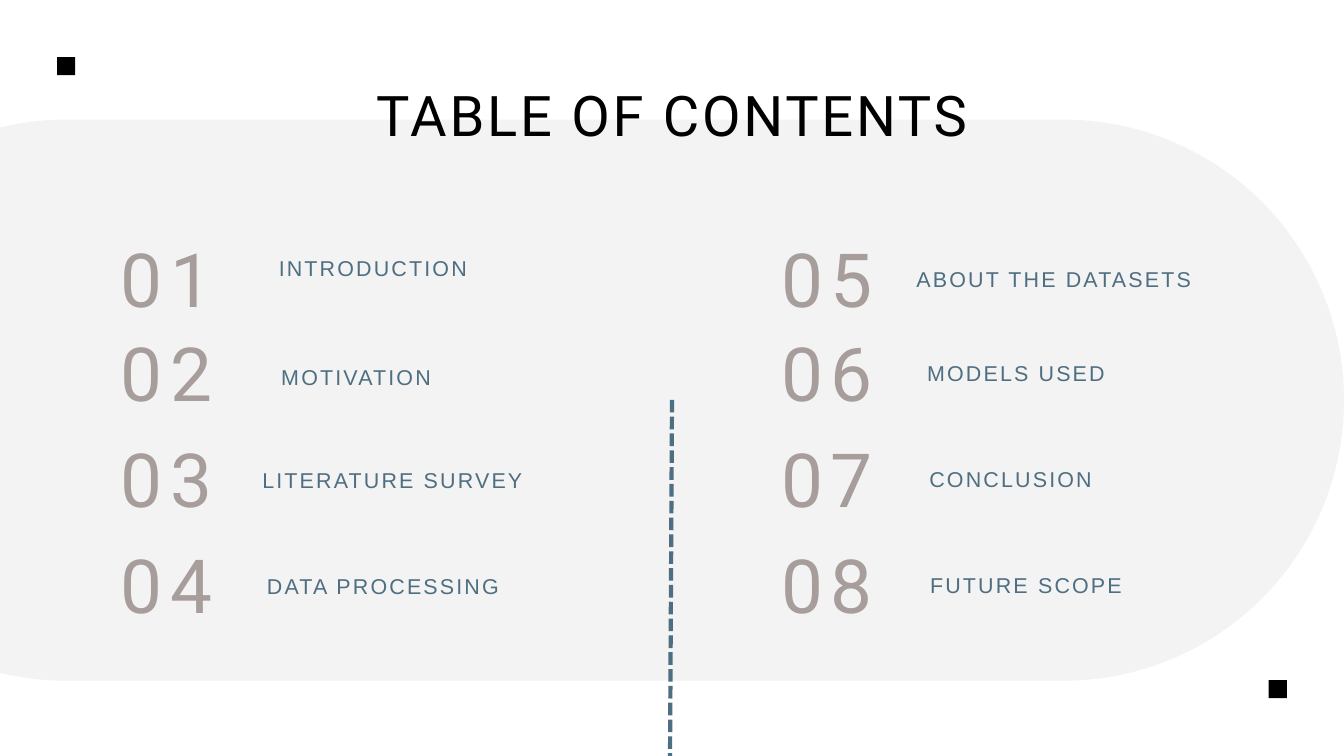
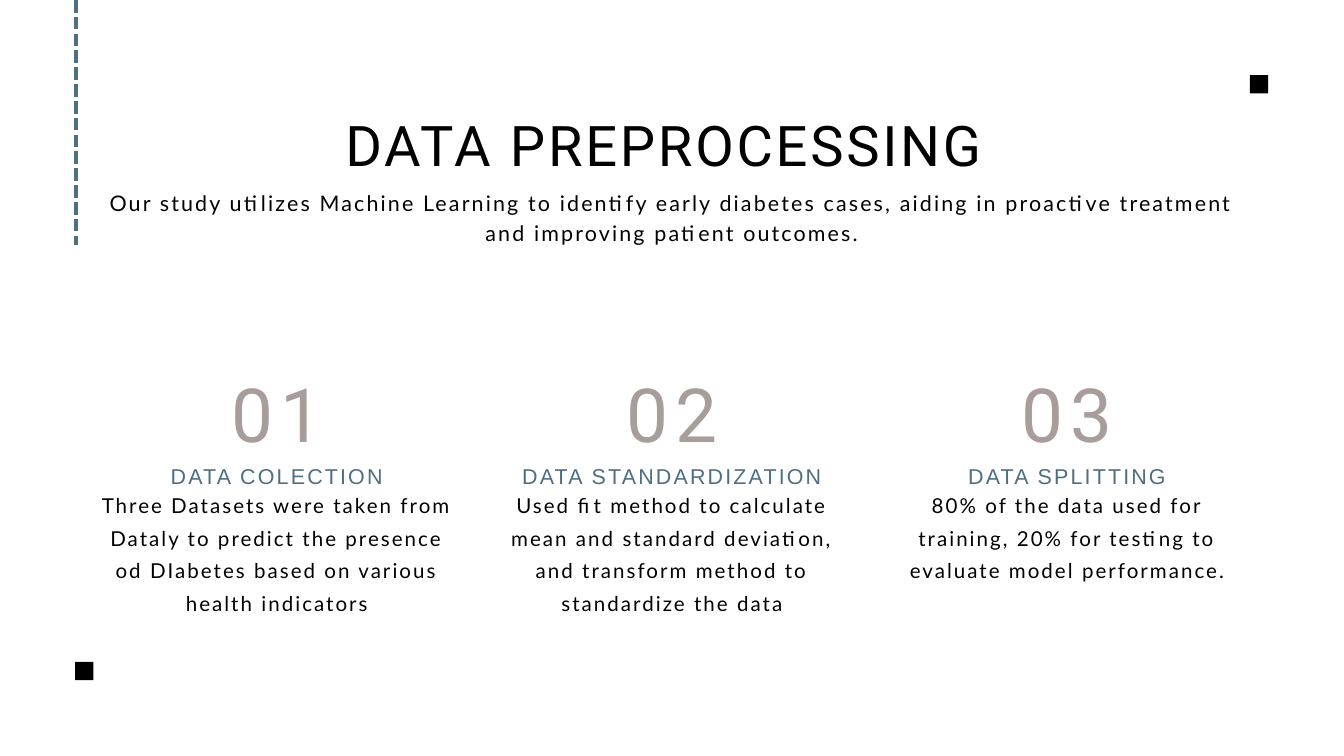
"""Build the contents and data preprocessing slides."""
from dataclasses import dataclass

from lxml import etree
from pptx import Presentation
from pptx import util as u
from pptx.dml.color import RGBColor
from pptx.enum import dml, shapes, text
from pptx.oxml import ns

COLORS = {"ink": "000000", "blue": "4E6E81", "taupe": "A79E9C", "panel": "F2F1F1", "page": "FFFFFF"}
LEFT, CENTER, RIGHT = text.PP_ALIGN.LEFT, text.PP_ALIGN.CENTER, text.PP_ALIGN.RIGHT
COLUMN_WIDTH = 5.22
MARGIN = 1.51
ROW_TOPS = (3.25, 4.64, 6.22, 7.8)
NUMBER_LEFTS = (1.8, 11.63)


@dataclass(frozen=True)
class Style:
    """Font, size, colour and line height shared by one kind of text."""
    font: str
    size: float
    color: str
    leading: float


@dataclass(frozen=True)
class Box:
    """Place of an element in inches."""
    left: float
    top: float
    width: float
    height: float


@dataclass(frozen=True)
class Topic:
    """Entry of the contents with the place of its label."""
    label: str
    left: float
    top: float
    align: text.PP_ALIGN = CENTER


@dataclass(frozen=True)
class Step:
    """Preprocessing step with its explanation."""
    heading: str
    detail: str
    height: float


TITLE = Style("Roboto", 60, "ink", 84)
NUMBER = Style("Roboto", 80, "taupe", 112)
LABEL = Style("Arial", 23, "blue", 32.2)
SUMMARY = Style("Lato", 23, "ink", 32.2)
DETAIL = Style("Lato", 22, "ink", 35.2)

TOPICS = (
    Topic("INTRODUCTION", 2.94, 3.73),
    Topic("MOTIVATION", 2.69, 5.35),
    Topic("LITERATURE SURVEY", 2.56, 6.88, RIGHT),
    Topic("DATA PROCESSING", 2.21, 8.46, RIGHT),
    Topic("ABOUT THE DATASETS", 12.51, 3.9, RIGHT),
    Topic("MODELS USED", 12.51, 5.29),
    Topic("CONCLUSION ", 12.49, 6.87),
    Topic("FUTURE SCOPE ", 12.72, 8.45),
)
STEPS = (
    Step("DATA COLECTION", "Three Datasets were taken from Dataly to predict the presence "
         "od DIabetes based on various health indicators", 1.9),
    Step("DATA STANDARDIZATION", "Used fit method to calculate mean and standard deviation, "
         "and transform method to standardize the data", 1.9),
    Step("DATA SPLITTING", "80% of the data used for training, 20% for testing to evaluate "
         "model performance.", 1.42),
)


def rgb(name: str) -> RGBColor:
    """Look up a theme colour."""
    return RGBColor.from_string(COLORS[name])


def inches(box: Box) -> tuple:
    """Convert a box to lengths."""
    return tuple(u.Inches(side) for side in (box.left, box.top, box.width, box.height))


def write(frame, words: str, *, style: Style, align=CENTER) -> None:
    """Fill a text frame with one formatted paragraph."""
    frame.word_wrap = True
    frame.auto_size = text.MSO_AUTO_SIZE.NONE
    frame.vertical_anchor = text.MSO_ANCHOR.TOP
    frame.margin_left = frame.margin_top = frame.margin_right = frame.margin_bottom = 0
    paragraph = frame.paragraphs[0]
    paragraph.alignment = align
    paragraph.line_spacing = u.Pt(style.leading)
    paragraph.space_before = u.Pt(0)
    run = paragraph.add_run()
    run.text = words
    run.font.name = style.font
    run.font.size = u.Pt(style.size)
    run.font.color.rgb = rgb(style.color)
    run.font._element.set("spc", str(round(style.size * 10 if style is not TITLE else 300)))


def add_text(slide, box: Box, words: str, *, style: Style, align=CENTER) -> None:
    """Add a text box."""
    write(slide.shapes.add_textbox(*inches(box)).text_frame, words, style=style, align=align)


def fill_placeholder(holder, box: Box, words: str, *, style: Style) -> None:
    """Move a placeholder to the front and fill it without bullets."""
    holder.element.getparent().append(holder.element)
    holder.left, holder.top, holder.width, holder.height = inches(box)
    properties = holder.text_frame.paragraphs[0]._p.get_or_add_pPr()
    properties.set("marL", "0")
    properties.set("indent", "0")
    etree.SubElement(properties, ns.qn("a:buNone"))
    write(holder.text_frame, words, style=style)


def add_plain(slide, kind, box: Box, color: str):
    """Add a filled shape without outline or shadow."""
    shape = slide.shapes.add_shape(kind, *inches(box))
    shape.shadow.inherit = False
    shape.fill.solid()
    shape.fill.fore_color.rgb = rgb(color)
    shape.line.fill.background()
    return shape


def add_corner_squares(slide, *corners: tuple) -> None:
    """Add the small black squares."""
    for left, top in corners:
        add_plain(slide, shapes.MSO_SHAPE.RECTANGLE, Box(left, top, 0.27, 0.27), "ink")


def add_dashed_line(slide, start: tuple, end: tuple) -> None:
    """Add a dashed blue accent line."""
    points = [u.Inches(value) for value in (*start, *end)]
    line = slide.shapes.add_connector(shapes.MSO_CONNECTOR.STRAIGHT, *points)
    line.line.color.rgb = rgb("blue")
    line.line.width = u.Pt(4.5)
    line.line.dash_style = dml.MSO_LINE.SQUARE_DOT
    etree.SubElement(line._element.spPr, ns.qn("a:effectLst"))


def new_slide(deck, layout: int):
    """Add a slide on the white page."""
    slide = deck.slides.add_slide(deck.slide_layouts[layout])
    slide.background.fill.solid()
    slide.background.fill.fore_color.rgb = rgb("page")
    return slide


def build_contents(deck) -> None:
    """Build the table of contents."""
    slide = new_slide(deck, 5)
    panel = add_plain(slide, shapes.MSO_SHAPE.ROUNDED_RECTANGLE, Box(-3.19, 1.78, 23.19, 8.35), "panel")
    panel.adjustments[0] = 0.5
    tint = panel._element.spPr.find(".//" + ns.qn("a:srgbClr"))
    etree.SubElement(tint, ns.qn("a:alpha"), val="80000")
    fill_placeholder(slide.shapes.title, Box(2.06, 1.03, 15.88, 1.19), "TABLE OF CONTENTS", style=TITLE)
    add_corner_squares(slide, (18.88, 10.12), (0.85, 0.85))
    add_dashed_line(slide, (10, 5.95), (9.97, 11.43))
    for index, topic in enumerate(TOPICS):
        column, row = divmod(index, len(ROW_TOPS))
        number_box = Box(NUMBER_LEFTS[column], ROW_TOPS[row], COLUMN_WIDTH, 1.56)
        add_text(slide, number_box, f"{index + 1:02}", style=NUMBER, align=LEFT)
        label_box = Box(topic.left, topic.top, COLUMN_WIDTH, 0.43)
        add_text(slide, label_box, topic.label, style=LABEL, align=topic.align)


def build_preprocessing(deck) -> None:
    """Build the three preprocessing steps."""
    slide = new_slide(deck, 1)
    summary = slide.placeholders[1]
    fill_placeholder(slide.shapes.title, Box(MARGIN, 1.48, 16.98, 1.19), "DATA PREPROCESSING ", style=TITLE)
    fill_placeholder(summary, Box(MARGIN, 2.77, 16.98, 0.87),
                     "Our study utilizes Machine Learning to identify early diabetes cases, aiding in "
                     "proactive treatment and improving patient outcomes.", style=SUMMARY)
    for index, step in enumerate(STEPS):
        left = MARGIN + index * 5.88
        add_text(slide, Box(left, 5.25, COLUMN_WIDTH, 1.55), f"{index + 1:02}", style=NUMBER)
        add_text(slide, Box(left, 6.82, COLUMN_WIDTH, 0.43), step.heading, style=LABEL)
        add_text(slide, Box(left, 7.21, COLUMN_WIDTH, step.height), step.detail, style=DETAIL)
    add_corner_squares(slide, (1.12, 9.85), (18.6, 1.12))
    add_dashed_line(slide, (1.13, 0), (1.13, 3.65))


def main() -> None:
    """Build and save the deck."""
    deck = Presentation()
    deck.slide_width, deck.slide_height = u.Inches(20), u.Inches(11.25)
    build_contents(deck)
    build_preprocessing(deck)
    deck.save("out.pptx")


if __name__ == "__main__":
    main()
